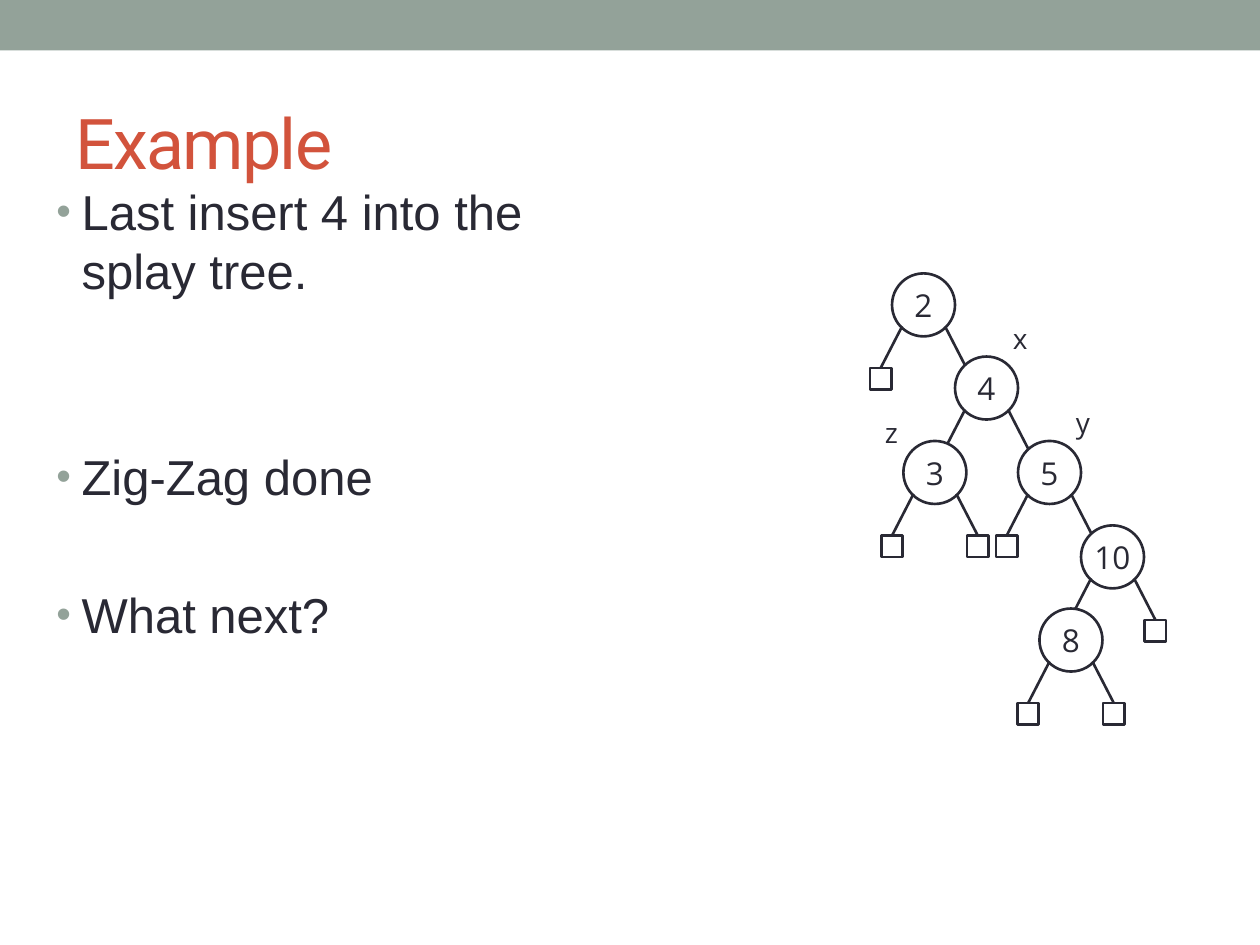
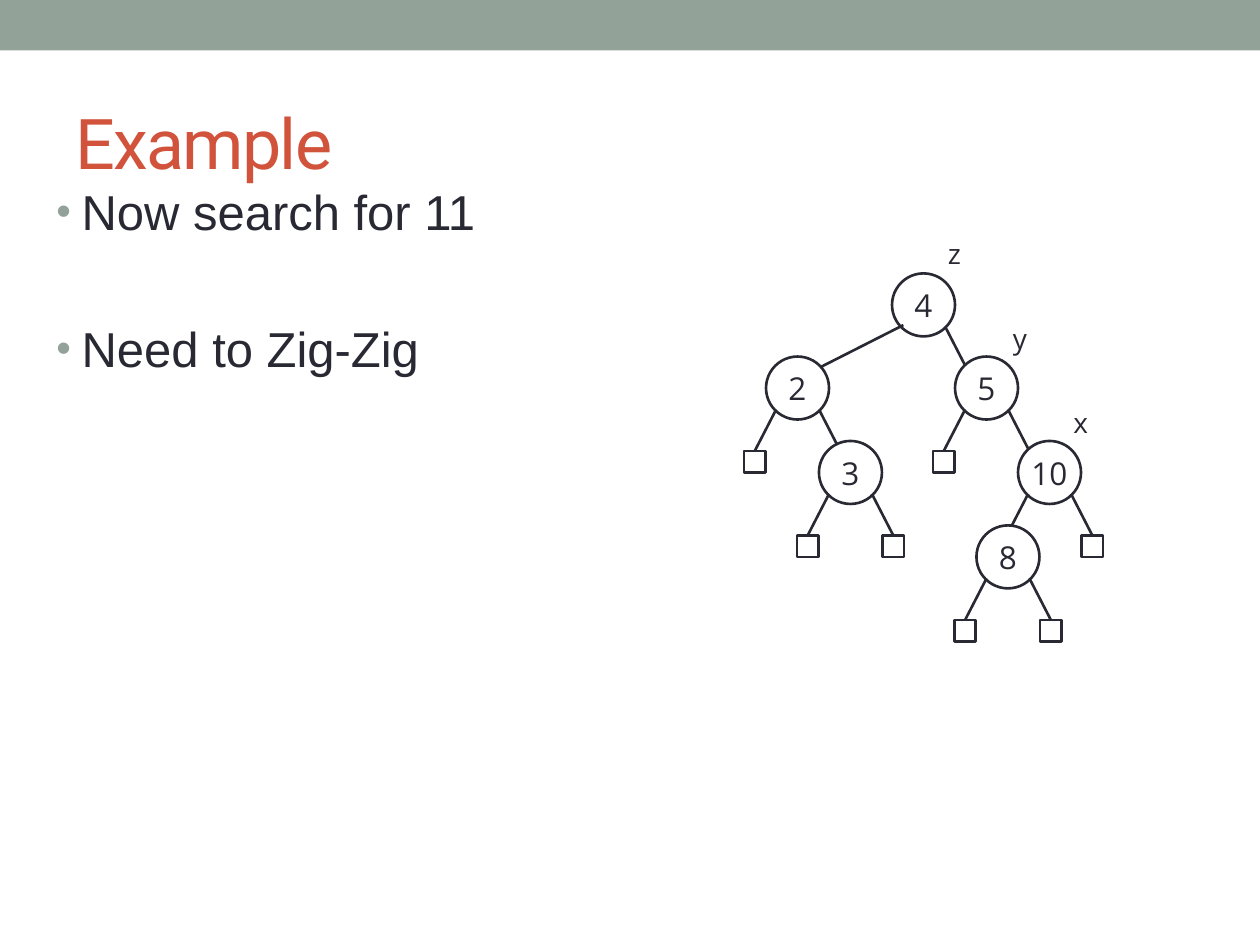
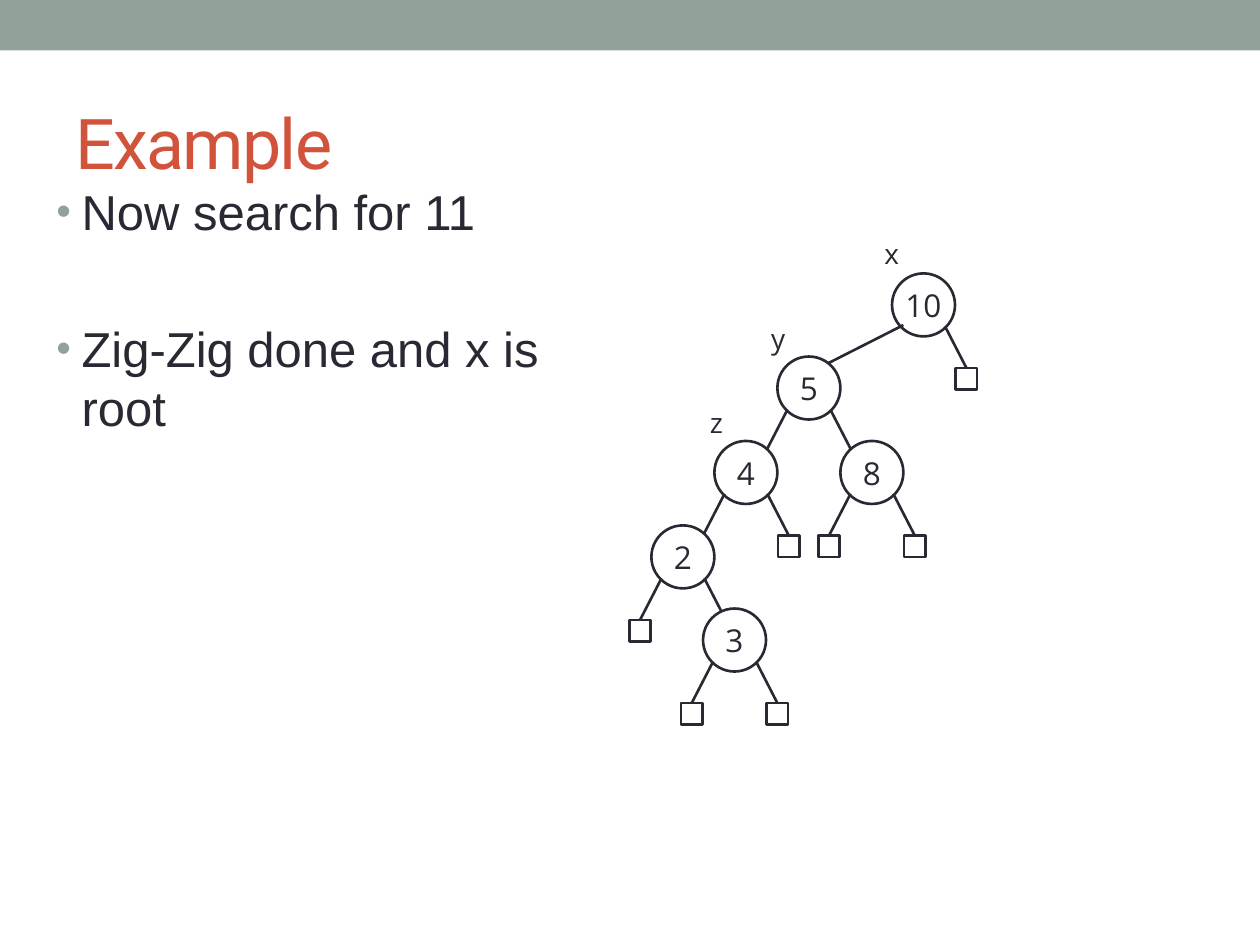
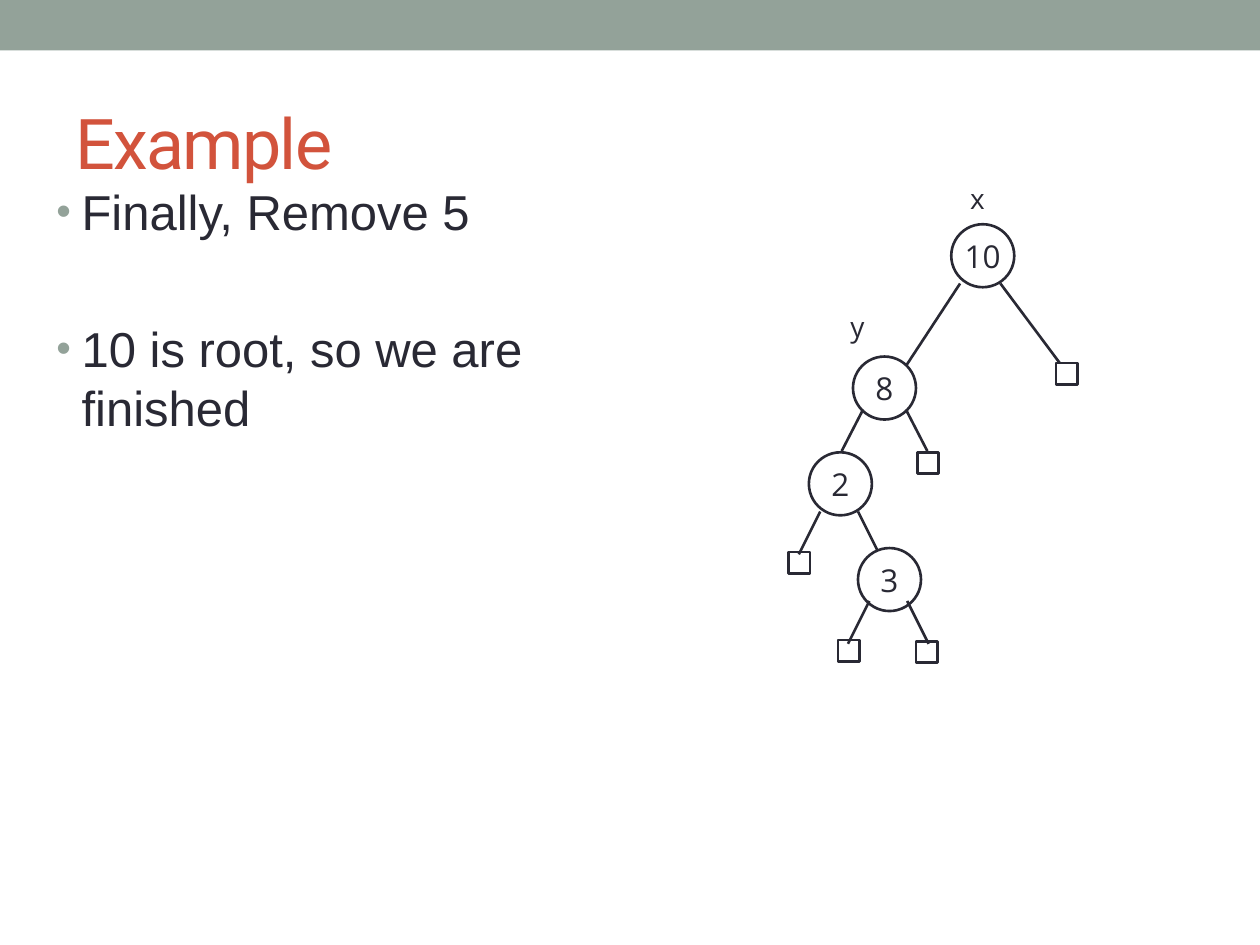
from collections import namedtuple
from dataclasses import dataclass, field

from lxml.etree import SubElement
from pptx import Presentation
from pptx.dml.color import RGBColor
from pptx.enum.shapes import MSO_CONNECTOR as CONN, MSO_SHAPE as SHAPE
from pptx.enum.text import MSO_ANCHOR as ANCHOR, PP_ALIGN as ALIGN
from pptx.oxml.ns import qn
from pptx.util import Inches, Pt

COLORS = {"band": "93A299", "title": "D2533C", "ink": "292934", "paper": "FFFFFF"}
NODE, LEAF = 0.5, 0.17       # diameter of a node, side of a leaf
STEP = 0.17                  # sideways reach of an edge
DROP = 0.33                  # height of an edge
LEFT, RIGHT = -1, 1

Leaf = namedtuple("Leaf", "x y")
Edge = namedtuple("Edge", "x1 y1 x2 y2")


@dataclass
class Node:
    """A tree node; a missing child is a leaf at the end of its edge."""
    key: str
    x: float
    y: float
    left: object = None
    right: object = None
    edges: dict = field(default_factory=dict)

    def edge(self, side):
        """Return the given edge to one side, or the regular one."""
        x = self.x + NODE / 2 + side * STEP
        y = self.y + NODE / 2 + STEP
        return self.edges.get(side, Edge(x, y, x + side * STEP, y + DROP))


def rgb(name):
    """Look up a named colour."""
    return RGBColor.from_string(COLORS[name])


def write(p, text, font="Open Sans", size=18, color="ink", align=None, spacing=None):
    """Put one formatted run into a paragraph."""
    r = p.add_run()
    r.text = text
    r.font.name, r.font.size = font, Pt(size)
    r.font.color.rgb = rgb(color)
    if align is not None:
        p.alignment = align
    if spacing is not None:
        r.font._element.set("spc", str(spacing * 100))


class Deck:
    """Holds the style and the current slide."""

    def __init__(self):
        """Open an empty presentation."""
        self.prs = Presentation()
        self.prs.slide_width, self.prs.slide_height = Inches(10), Inches(7.5)

    def slide(self, title):
        """Start a slide with its band and title."""
        self.s = self.prs.slides.add_slide(self.prs.slide_layouts[5])
        self.shape(SHAPE.RECTANGLE, 0, 0, 10, 0.4, fill="band", line=None)
        sp = self.s.shapes.title
        sp.left, sp.top, sp.width, sp.height = map(Inches, (0.5, 0.58, 9, 1.08))
        sp.text_frame.vertical_anchor = ANCHOR.MIDDLE
        write(sp.text_frame.paragraphs[0], title, font="Roboto", size=40,
              color="title", align=ALIGN.LEFT, spacing=-1)

    def shape(self, kind, x, y, w, h, fill=None, line="ink"):
        """Add a flat preset shape."""
        sp = self.s.shapes.add_shape(kind, *map(Inches, (x, y, w, h)))
        sp.shadow.inherit = False
        if fill:
            sp.fill.solid()
            sp.fill.fore_color.rgb = rgb(fill)
        else:
            sp.fill.background()
        if line:
            sp.line.color.rgb, sp.line.width = rgb(line), Pt(1.5)
        else:
            sp.line.fill.background()
        return sp

    def bullets(self, items):
        """Add the bullet list; each item is (text, space before in points)."""
        box = self.s.shapes.add_textbox(*map(Inches, (0.35, 1.39, 4.56, 5.75)))
        tf = box.text_frame
        tf.word_wrap = True
        for i, (text, before) in enumerate(items):
            p = tf.add_paragraph() if i else tf.paragraphs[0]
            p.space_before = Pt(before)
            pPr = p._p.get_or_add_pPr()
            pPr.set("marL", str(Inches(0.2)))
            pPr.set("indent", str(Inches(-0.2)))
            clr = SubElement(pPr, qn("a:buClr"))
            SubElement(clr, qn("a:srgbClr"), val=COLORS["band"])
            SubElement(pPr, qn("a:buSzPct"), val="85000")
            SubElement(pPr, qn("a:buFont"), typeface="Arial")
            SubElement(pPr, qn("a:buChar"), char="•")
            write(p, text, font="Arial", size=28)

    def line(self, edge):
        """Add a straight edge."""
        cn = self.s.shapes.add_connector(CONN.STRAIGHT, *map(Inches, edge))
        cn.line.color.rgb, cn.line.width = rgb("ink"), Pt(1.5)
        SubElement(cn._element.spPr, qn("a:effectLst"))

    def leaf(self, x, y):
        """Add an empty square."""
        self.shape(SHAPE.RECTANGLE, x, y, LEAF, LEAF)

    def tree(self, node):
        """Draw a node, then its edges and subtrees."""
        sp = self.shape(SHAPE.OVAL, node.x, node.y, NODE, NODE, fill="paper")
        tf = sp.text_frame
        tf.word_wrap, tf.vertical_anchor = False, ANCHOR.MIDDLE
        write(tf.paragraphs[0], node.key, align=ALIGN.CENTER)
        for side, child in ((LEFT, node.left), (RIGHT, node.right)):
            edge = node.edge(side)
            self.line(edge)
            if isinstance(child, Node):
                self.tree(child)
            else:
                self.leaf(*(child or (edge.x2 - LEAF / 2, edge.y2)))

    def mark(self, text, x, y):
        """Add a letter beside a node."""
        box = self.s.shapes.add_textbox(*map(Inches, (x, y, 0.31, 0.37)))
        box.text_frame.word_wrap = False
        write(box.text_frame.paragraphs[0], text, size=16, align=ALIGN.CENTER)


# Space before a bullet: at the top, one line skipped, two lines skipped
TOP, SKIP1, SKIP2 = 5.6, 45, 84.5
WIDE = {LEFT: Edge(7.17, 2.58, 6.5, 2.92)}

SLIDES = [
    ([("Last insert 4 into the splay tree.", TOP), ("Zig-Zag done", SKIP2),
      ("What next?", SKIP1)],
     Node("2", 7.08, 2.17, right=Node(
         "4", 7.58, 2.83,
         Node("3", 7.17, 3.5),
         Node("5", 8.08, 3.5, right=Node(
             "10", 8.58, 4.17, Node("8", 8.25, 4.83))))),
     [("z", 6.92, 3.25), ("y", 8.44, 3.17), ("x", 7.94, 2.5)]),
    ([("Now search for 11", TOP), ("Need to Zig-Zig", SKIP1)],
     Node("4", 7.08, 2.17,
          Node("2", 6.08, 2.83, right=Node("3", 6.5, 3.5)),
          Node("5", 7.58, 2.83, right=Node(
              "10", 8.08, 3.5, Node("8", 7.75, 4.17))),
          edges=WIDE),
     [("z", 7.42, 1.83), ("x", 8.42, 3.17), ("y", 7.94, 2.5)]),
    ([("Now search for 11", TOP), ("Zig-Zig done and x is root", SKIP1)],
     Node("10", 7.08, 2.17, Node(
         "5", 6.17, 2.83,
         Node("4", 5.67, 3.5, Node(
             "2", 5.17, 4.17, right=Node("3", 5.58, 4.83))),
         Node("8", 6.67, 3.5)), edges=WIDE),
     [("x", 6.92, 1.83), ("z", 5.53, 3.17), ("y", 6.02, 2.5)]),
    ([("Finally, Remove 5", TOP), ("10 is root, so we are finished", SKIP1)],
     Node("10", 7.55, 1.78,
          Node("8", 6.77, 2.83,
               Node("2", 6.42, 3.59, Leaf(6.26, 4.38),
                    Node("3", 6.81, 4.35, Leaf(6.65, 5.08), Leaf(7.27, 5.09),
                         edges={LEFT: Edge(6.9, 4.77, 6.73, 5.11),
                                RIGHT: Edge(7.2, 4.77, 7.37, 5.11)}),
                    edges={LEFT: Edge(6.51, 4.06, 6.34, 4.4),
                           RIGHT: Edge(6.81, 4.06, 6.98, 4.4)}),
               Leaf(7.28, 3.59)),
          Leaf(8.38, 2.88),
          edges={LEFT: Edge(7.62, 2.25, 7.18, 2.92),
                 RIGHT: Edge(7.94, 2.25, 8.41, 2.88)}),
     [("y", 6.65, 2.41), ("x", 7.6, 1.39)]),
]

deck = Deck()
for items, root, marks in SLIDES:
    deck.slide("Example")
    deck.bullets(items)
    deck.tree(root)
    for mark in marks:
        deck.mark(*mark)
deck.prs.save("out.pptx")
